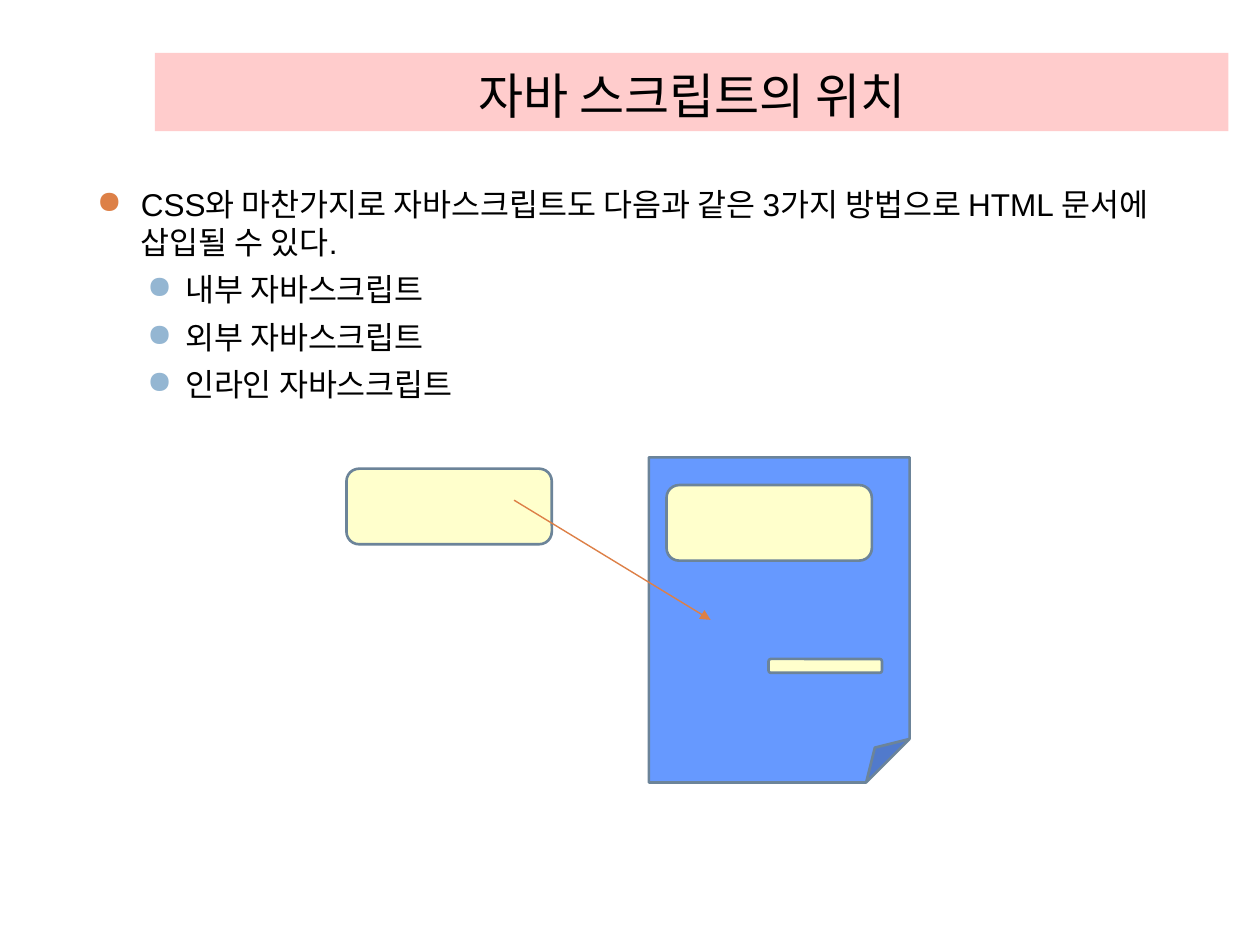
from dataclasses import dataclass

from lxml.etree import SubElement
from pptx import Presentation
from pptx.dml.color import RGBColor
from pptx.enum.shapes import MSO_CONNECTOR, MSO_SHAPE
from pptx.enum.text import MSO_ANCHOR, MSO_AUTO_SIZE, PP_ALIGN
from pptx.oxml.ns import qn
from pptx.slide import Slide
from pptx.text.text import _Paragraph
from pptx.util import Pt

PX = 9144  # EMU per px, 100 px to the inch
COLORS = {
    "title_band": "FFCCCC",
    "text": "000000",
    "orange": "DD8047",
    "light_blue": "94B6D2",
    "document": "6699FF",
    "script": "FFFFCC",
    "outline": "6C8499",
}


@dataclass
class Box:
    left: int
    top: int
    width: int
    height: int

    def emu(self) -> list[int]:
        return [n * PX for n in (self.left, self.top, self.width, self.height)]


@dataclass
class Bullet:
    text: str
    level: int = 1
    color: str = "light_blue"
    margin: int = 70
    hanging: int = 30
    space_before: float = 5.5


@dataclass
class Block:
    kind: MSO_SHAPE
    box: Box
    fill: str = "script"


BULLETS = [
    Bullet("CSS와 마찬가지로 자바스크립트도 다음과 같은 3가지 방법으로 HTML 문서에 삽입될 수 있다.",
           0, "orange", 35, 35, 0),
    Bullet("내부 자바스크립트"),
    Bullet("외부 자바스크립트"),
    Bullet("인라인 자바스크립트"),
]
DOCUMENT = Block(MSO_SHAPE.FOLDED_CORNER, Box(515, 363, 207, 258), "document")
INTERNAL = Block(MSO_SHAPE.ROUNDED_RECTANGLE, Box(529, 385, 163, 60))
EXTERNAL = Block(MSO_SHAPE.ROUNDED_RECTANGLE, Box(275, 372, 163, 60))
INLINE = Block(MSO_SHAPE.ROUNDED_RECTANGLE, Box(610, 523, 90, 11))


def rgb(name: str) -> RGBColor:
    return RGBColor.from_string(COLORS[name])


def set_font(para: _Paragraph, name: str, size: int) -> None:
    para.font.name = name
    para.font.size = Pt(size)
    para.font.color.rgb = rgb("text")


def add_title(page: Slide, text: str, box: Box) -> None:
    title = page.shapes.title
    title.left, title.top, title.width, title.height = box.emu()
    title.fill.solid()
    title.fill.fore_color.rgb = rgb("title_band")
    frame = title.text_frame
    frame.text = text
    frame.auto_size = MSO_AUTO_SIZE.NONE
    frame.vertical_anchor = MSO_ANCHOR.BOTTOM
    para = frame.paragraphs[0]
    para.alignment = PP_ALIGN.CENTER
    set_font(para, "Cambria", 28)


def write_bullet(para: _Paragraph, bullet: Bullet) -> None:
    para.text = bullet.text
    para.level = bullet.level
    para.space_before = Pt(bullet.space_before)
    set_font(para, "Arial", 18)
    # Bullet colour and sign must precede the default run properties
    props = para._p.get_or_add_pPr()
    props.set("marL", str(bullet.margin * PX))
    props.set("indent", str(-bullet.hanging * PX))
    color = SubElement(props, qn("a:buClr"))
    SubElement(color, qn("a:srgbClr"), val=COLORS[bullet.color])
    SubElement(props, qn("a:buChar"), char="●")
    props.append(props.find(qn("a:defRPr")))


def add_bullets(page: Slide, bullets: list[Bullet], box: Box) -> None:
    frame = page.shapes.add_textbox(*box.emu()).text_frame
    frame.word_wrap = True
    for index, bullet in enumerate(bullets):
        para = frame.add_paragraph() if index else frame.paragraphs[0]
        write_bullet(para, bullet)


def add_block(page: Slide, block: Block) -> None:
    shape = page.shapes.add_shape(block.kind, *block.box.emu())
    shape.shadow.inherit = False
    shape.fill.solid()
    shape.fill.fore_color.rgb = rgb(block.fill)
    shape.line.color.rgb = rgb("outline")
    shape.line.width = Pt(1.5)


def add_arrow(page: Slide, start: tuple[int, int], end: tuple[int, int]) -> None:
    arrow = page.shapes.add_connector(
        MSO_CONNECTOR.STRAIGHT, *(n * PX for n in start + end))
    arrow.line.color.rgb = rgb("orange")
    arrow.line.width = Pt(0.79)
    SubElement(arrow.line._get_or_add_ln(), qn("a:tailEnd"), type="triangle")
    SubElement(arrow._element.spPr, qn("a:effectLst"))


def main() -> None:
    deck = Presentation()
    deck.slide_width, deck.slide_height = 1000 * PX, 750 * PX
    page = deck.slides.add_slide(deck.slide_layouts[5])

    # Heading and the three ways to insert a script
    add_title(page, "자바 스크립트의 위치", Box(123, 42, 852, 62))
    add_bullets(page, BULLETS, Box(67, 142, 892, 492))

    # HTML document with its scripts, the external one pointing in
    for block in (DOCUMENT, INTERNAL, EXTERNAL):
        add_block(page, block)
    add_arrow(page, (408, 397), (564, 492))
    add_block(page, INLINE)

    deck.save("out.pptx")


if __name__ == "__main__":
    main()
